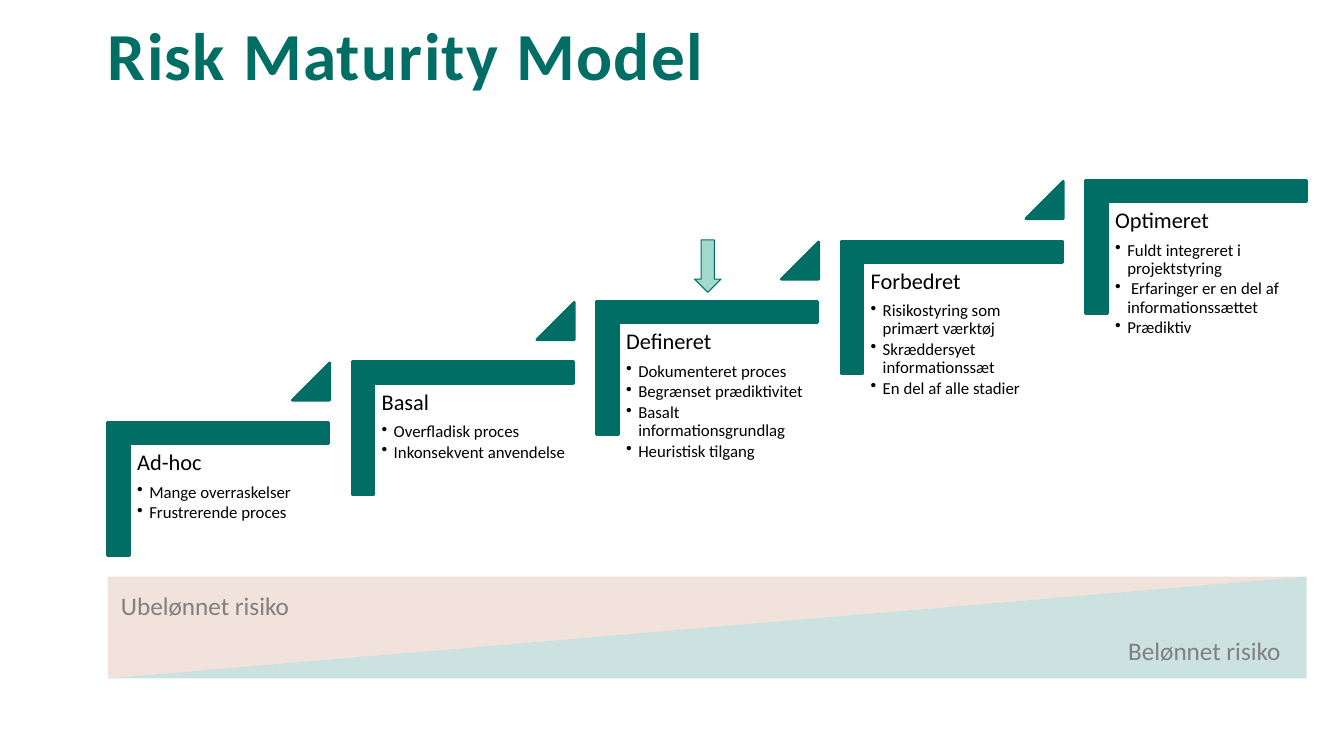
from lxml import etree
from pptx import Presentation
from pptx.dml.color import RGBColor
from pptx.enum.shapes import MSO_SHAPE as Shape
from pptx.enum.text import MSO_ANCHOR as Anchor, MSO_AUTO_SIZE as AutoSize, PP_ALIGN as Align
from pptx.oxml.ns import qn
from pptx.util import Inches, Pt

COLORS = {
    "teal": "006E64",
    "mint": "A1D9CC",
    "clay": "C17150",
    "grey": "808080",
    "black": "000000",
}
FONT = "Calibri"
STAGES = [
    ("Ad-hoc", ["Mange overraskelser", "Frustrerende proces"]),
    ("Basal", ["Overfladisk proces", "Inkonsekvent anvendelse"]),
    ("Defineret", ["Dokumenteret proces", "Begrænset prædiktivitet",
                   "Basalt informationsgrundlag", "Heuristisk tilgang"]),
    ("Forbedret", ["Risikostyring som primært værktøj",
                   "Skræddersyet informationssæt", "En del af alle stadier"]),
    ("Optimeret", ["Fuldt integreret i projektstyring",
                   " Erfaringer er en del af informationssættet", "Prædiktiv"]),
]


def rgb(name):
    return RGBColor.from_string(COLORS[name])


def style_run(run, size, color, bold=False):
    formats = {"name": FONT, "size": Pt(size), "bold": bold}
    for attribute, value in formats.items():
        setattr(run.font, attribute, value)
    run.font.color.rgb = rgb(color)


def set_frame(frame, inset=0):
    formats = {"word_wrap": True, "auto_size": AutoSize.NONE, "vertical_anchor": Anchor.TOP}
    for side in ("left", "top", "right", "bottom"):
        formats["margin_" + side] = Inches(inset)
    for attribute, value in formats.items():
        setattr(frame, attribute, value)


def add_preset(slide, kind, left, top, width, height, fill, line_width):
    shape = slide.shapes.add_shape(
        kind, Inches(left), Inches(top), Inches(width), Inches(height))
    shape.shadow.inherit = False
    shape.fill.solid()
    shape.fill.fore_color.rgb = rgb(fill)
    shape.line.color.rgb = rgb("teal")
    shape.line.width = Pt(line_width)
    return shape


def add_textbox(slide, left, top, width, height, inset=0):
    box = slide.shapes.add_textbox(
        Inches(left), Inches(top), Inches(width), Inches(height))
    set_frame(box.text_frame, inset)
    return box.text_frame


def add_bullet(paragraph):
    properties = paragraph._p.get_or_add_pPr()
    properties.set("marL", str(Inches(0.12)))
    properties.set("indent", str(Inches(-0.12)))
    etree.SubElement(properties, qn("a:buChar")).set("char", "•")


def add_title(slide, left, top, width, height):
    title = slide.shapes.title
    box = {"left": left, "top": top, "width": width, "height": height}
    for attribute, value in box.items():
        setattr(title, attribute, Inches(value))
    set_frame(title.text_frame)
    paragraph = title.text_frame.paragraphs[0]
    paragraph.alignment = Align.LEFT
    paragraph.line_spacing = 0.85
    run = paragraph.add_run()
    run.text = "Risk Maturity Model"
    style_run(run, 48, "teal", bold=True)
    run.font._element.set("spc", "100")


def add_stage(slide, left, top, width, height, heading, points, leads_on):
    # Step: an L turned a quarter, so its own sides are swapped
    step = add_preset(slide, Shape.CORNER, left + (width - height) / 2,
                      top + (height - width) / 2, height, width, "teal", 2)
    step.rotation = 90
    step.adjustments[0] = step.adjustments[1] = 0.161

    # Heading and bullets
    frame = add_textbox(slide, left + 0.22, top + 0.22, 1.98, 1.73, inset=0.07)
    for number, text in enumerate([heading, *points]):
        is_heading = number == 0
        paragraph = frame.paragraphs[0] if is_heading else frame.add_paragraph()
        paragraph.line_spacing = 0.9
        paragraph.space_after = Pt(5.6 if is_heading else 1.8)
        if not is_heading:
            paragraph.level = 1
            add_bullet(paragraph)
        run = paragraph.add_run()
        run.text = text
        style_run(run, 16 if is_heading else 12, "black")

    # Marker towards the next stage
    if leads_on:
        marker = add_preset(slide, Shape.ISOSCELES_TRIANGLE, left + 1.83, top - 0.59,
                            0.37, 0.37, "teal", 2)
        marker.adjustments[0] = 1


def add_staircase(slide, left, top, width, height):
    step_width, step_height = 2.19, 1.32
    last = len(STAGES) - 1
    run_length = (width - step_width) / last
    rise = (height - step_height) / last
    for index, (heading, points) in enumerate(STAGES):
        add_stage(slide, left + index * run_length, top + (last - index) * rise,
                  step_width, step_height, heading, points, index < last)


def add_wedge(slide, corners, color):
    points = [(Inches(x), Inches(y)) for x, y in corners]
    builder = slide.shapes.build_freeform(*points[0])
    builder.add_line_segments(points[1:], close=True)
    wedge = builder.convert_to_shape()
    wedge.shadow.inherit = False
    wedge.fill.solid()
    wedge.fill.fore_color.rgb = rgb(color)
    wedge.line.fill.background()
    tint = wedge._element.spPr.find(qn("a:solidFill"))[0]
    etree.SubElement(tint, qn("a:alpha")).set("val", "20000")


def add_risk_band(slide, left, top, width, height):
    right, bottom = left + width, top + height
    add_wedge(slide, [(left, bottom), (right, top), (right, bottom)], "teal")
    add_wedge(slide, [(right, top), (left, bottom), (left, top)], "clay")
    labels = [
        ("Ubelønnet risiko", left + 0.13, top + 0.14, 1.84),
        ("Belønnet risiko", right - 1.77, bottom - 0.43, 1.66),
    ]
    for text, label_left, label_top, label_width in labels:
        frame = add_textbox(slide, label_left, label_top, label_width, 0.3)
        run = frame.paragraphs[0].add_run()
        run.text = text
        style_run(run, 18, "grey")


def main():
    deck = Presentation()
    deck.slide_width, deck.slide_height = Inches(13.33), Inches(7.5)
    slide = deck.slides.add_slide(deck.slide_layouts[5])
    add_title(slide, 1.07, 0.25, 11.89, 0.69)
    add_staircase(slide, 1.07, 1.79, 11.89, 3.72)
    add_risk_band(slide, 1.07, 5.72, 11.89, 1.01)
    # Arrow at the current stage
    add_preset(slide, Shape.DOWN_ARROW, 6.89, 2.38, 0.26, 0.52, "mint", 0.75)
    deck.save("out.pptx")


if __name__ == "__main__":
    main()
